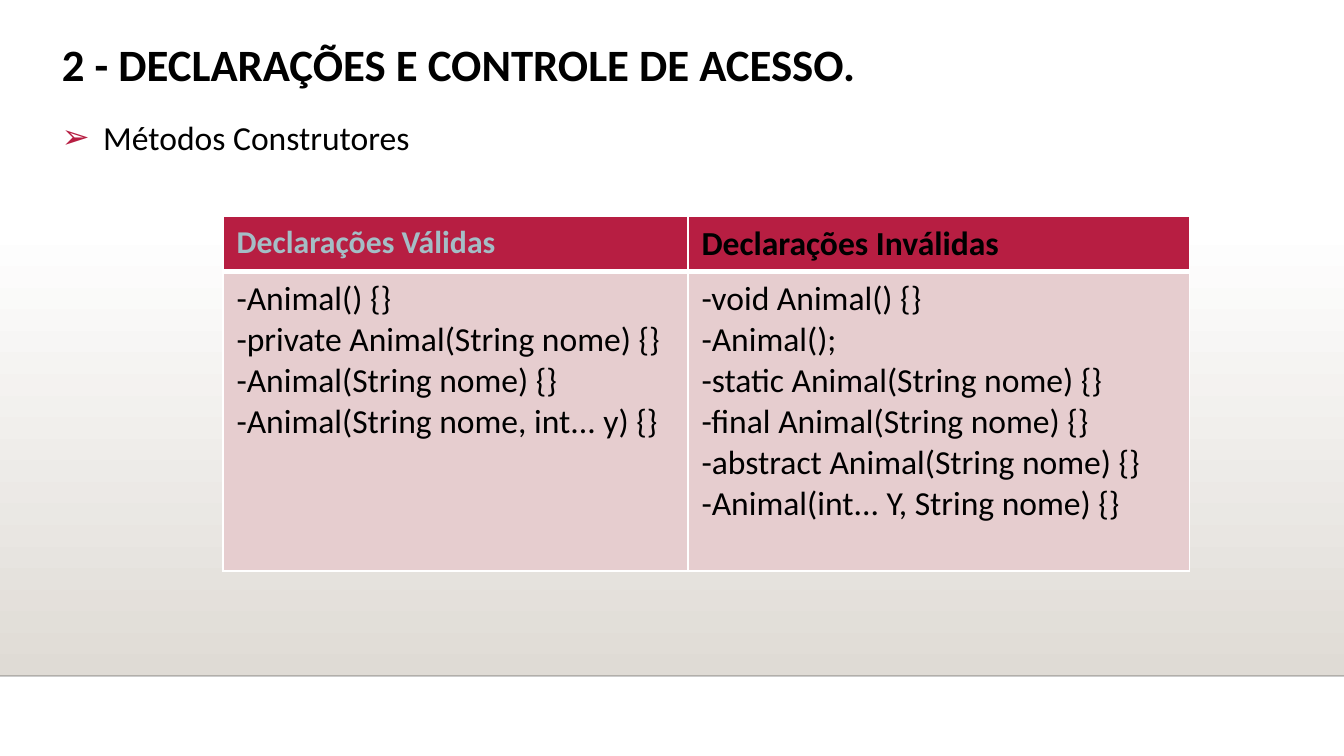
import pptx
import pptx.dml.color
import pptx.enum.shapes
import pptx.enum.text
import pptx.oxml
import pptx.oxml.ns
import pptx.util
from pptx.util import Inches

FONT = "Calibri"
NS = pptx.oxml.ns.nsdecls("a")
CRIMSON = "B71E42"
BLACK = "000000"
VALID = [
    "-Animal() {} ",
    "-private Animal(String nome) {} ",
    "-Animal(String nome) {} ",
    "-Animal(String nome, int... y) {} ",
]
INVALID = [
    "-void Animal() {} ",
    "-Animal(); ",
    "-static Animal(String nome) {} ",
    "-final Animal(String nome) {} ",
    "-abstract Animal(String nome) {} ",
    "-Animal(int... Y, String nome) {} ",
]


def paint(color_format, value):
    """Set a colour from a hex string."""
    color_format.rgb = pptx.dml.color.RGBColor.from_string(value)


def add_xml(parent, xml, index=None):
    """Put an XML fragment into a parent, at its end unless an index is given."""
    element = pptx.oxml.parse_xml(xml)
    parent.insert(len(parent) if index is None else index, element)


def write_lines(frame, lines, size, color=BLACK, bold=False):
    """Write one formatted paragraph per line."""
    for number, line in enumerate(lines):
        paragraph = frame.add_paragraph() if number else frame.paragraphs[0]
        paragraph.alignment = pptx.enum.text.PP_ALIGN.LEFT
        run = paragraph.add_run()
        run.text = line
        run.font.name = FONT
        run.font.size = pptx.util.Pt(size)
        run.font.bold = bold
        paint(run.font.color, color)


def add_backdrop(slide):
    """Draw the fading floor band and the thin line under it."""
    band = slide.shapes.add_shape(
        pptx.enum.shapes.MSO_SHAPE.RECTANGLE,
        Inches(0), Inches(1.66), Inches(10), Inches(3.37))
    band.shadow.inherit = False
    band.line.fill.background()
    band.fill.gradient()
    band.fill.gradient_angle = 270
    for stop, color, position in zip(band.fill.gradient_stops, ("FFFFFF", "DFDBD5"), (0, 1)):
        paint(stop.color, color)
        stop.position = position

    horizon = slide.shapes.add_connector(
        pptx.enum.shapes.MSO_CONNECTOR.STRAIGHT,
        Inches(0), Inches(5.03), Inches(10), Inches(5.03))
    horizon.line.width = pptx.util.Pt(1)
    paint(horizon.line.color, "000001")
    properties = horizon._element.spPr
    tint = properties.find(".//" + pptx.oxml.ns.qn("a:srgbClr"))
    add_xml(tint, f'<a:alpha {NS} val="20000"/>')
    add_xml(properties, f"<a:effectLst {NS}/>")


def add_title(slide, text):
    """Place and format the slide title."""
    title = slide.shapes.title
    title.left, title.top = Inches(0.36), Inches(0.26)
    title.width, title.height = Inches(8.88), Inches(0.47)
    title.text_frame.vertical_anchor = pptx.enum.text.MSO_ANCHOR.MIDDLE
    write_lines(title.text_frame, [text], 24, bold=True)
    title.text_frame.paragraphs[0].line_spacing = 0.9


def add_topic(slide, text):
    """Add the topic line with its arrow bullet."""
    topic = slide.shapes.add_textbox(Inches(0.36), Inches(0.82), Inches(8.88), Inches(0.3))
    frame = topic.text_frame
    frame.word_wrap = True
    write_lines(frame, [text], 18)
    properties = frame.paragraphs[0]._p.get_or_add_pPr()
    properties.set("marL", str(Inches(0.31)))
    properties.set("indent", str(Inches(-0.31)))
    add_xml(properties, f'<a:buClr {NS}><a:srgbClr val="{CRIMSON}"/></a:buClr>')
    add_xml(properties, f'<a:buFont {NS} typeface="{FONT}"/>')
    add_xml(properties, f'<a:buChar {NS} char="➢"/>')


def format_cell(cell, fill, top, bottom):
    """Fill a cell and give it white borders of the given top and bottom widths."""
    cell.fill.solid()
    paint(cell.fill.fore_color, fill)
    properties = cell._tc.get_or_add_tcPr()
    for index, (side, width) in enumerate((("L", 1), ("R", 1), ("T", top), ("B", bottom))):
        add_xml(properties, (
            f'<a:ln{side} {NS} w="{pptx.util.Pt(width)}"><a:solidFill>'
            f'<a:srgbClr val="FFFFFF"/></a:solidFill></a:ln{side}>'), index)


def add_declarations(slide):
    """Add the table of valid and invalid constructor declarations."""
    table = slide.shapes.add_table(
        2, 2, Inches(1.66), Inches(1.61), Inches(7.19), Inches(2.64)).table
    table.rows[0].height, table.rows[1].height = Inches(0.41), Inches(2.23)
    columns = (
        (3.46, "Declarações Válidas", 17, "A4BEC6", VALID),
        (3.73, "Declarações Inválidas ", 18, BLACK, INVALID),
    )
    for number, (width, heading, size, color, declarations) in enumerate(columns):
        table.columns[number].width = Inches(width)
        header, body = table.cell(0, number), table.cell(1, number)
        format_cell(header, CRIMSON, 1, 3)
        write_lines(header.text_frame, [heading], size, color, bold=True)
        format_cell(body, "E6CDCF", 3, 1)
        write_lines(body.text_frame, declarations, 18)


def main():
    """Build and save the slide."""
    deck = pptx.Presentation()
    deck.slide_width = Inches(10)
    deck.slide_height = deck.slide_width * 9 // 16
    slide = deck.slides.add_slide(deck.slide_layouts[5])
    add_backdrop(slide)
    add_topic(slide, "Métodos Construtores")
    add_title(slide, "2 - DECLARAÇÕES E CONTROLE DE ACESSO.")
    add_declarations(slide)
    deck.save("out.pptx")


main()
